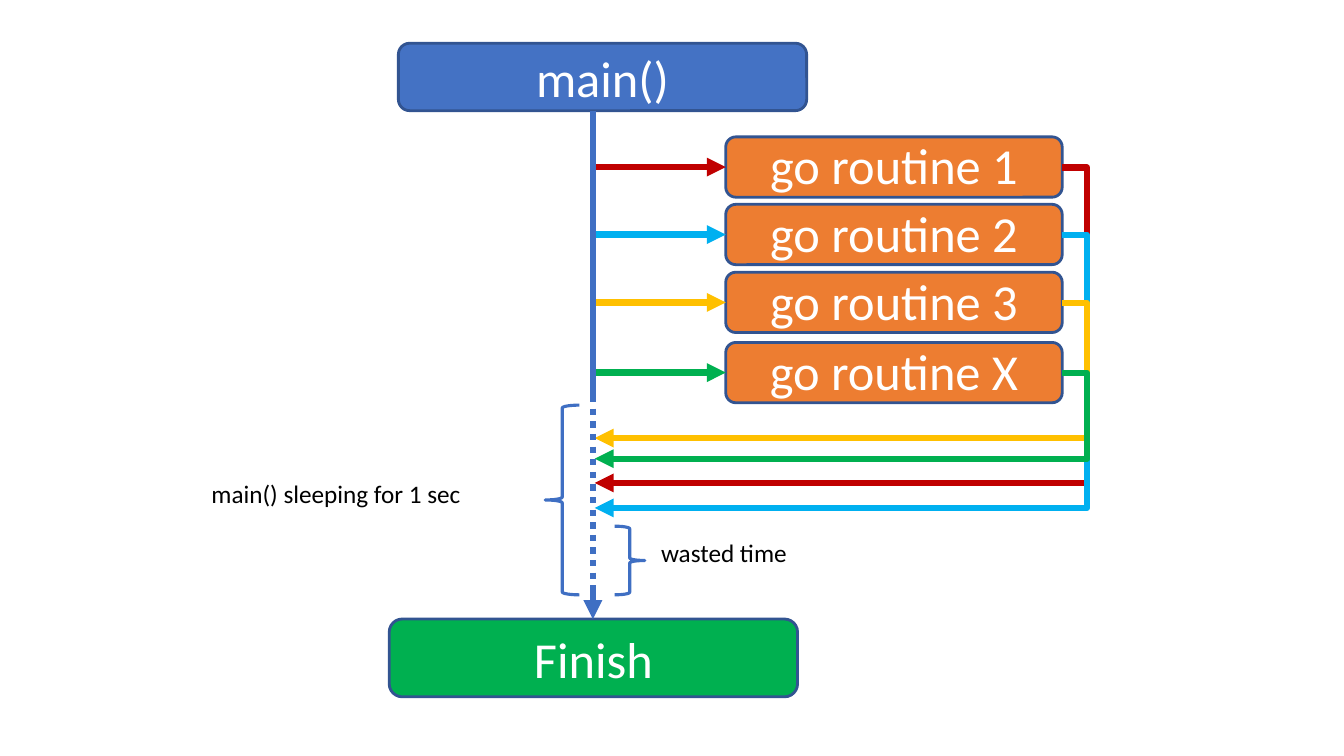
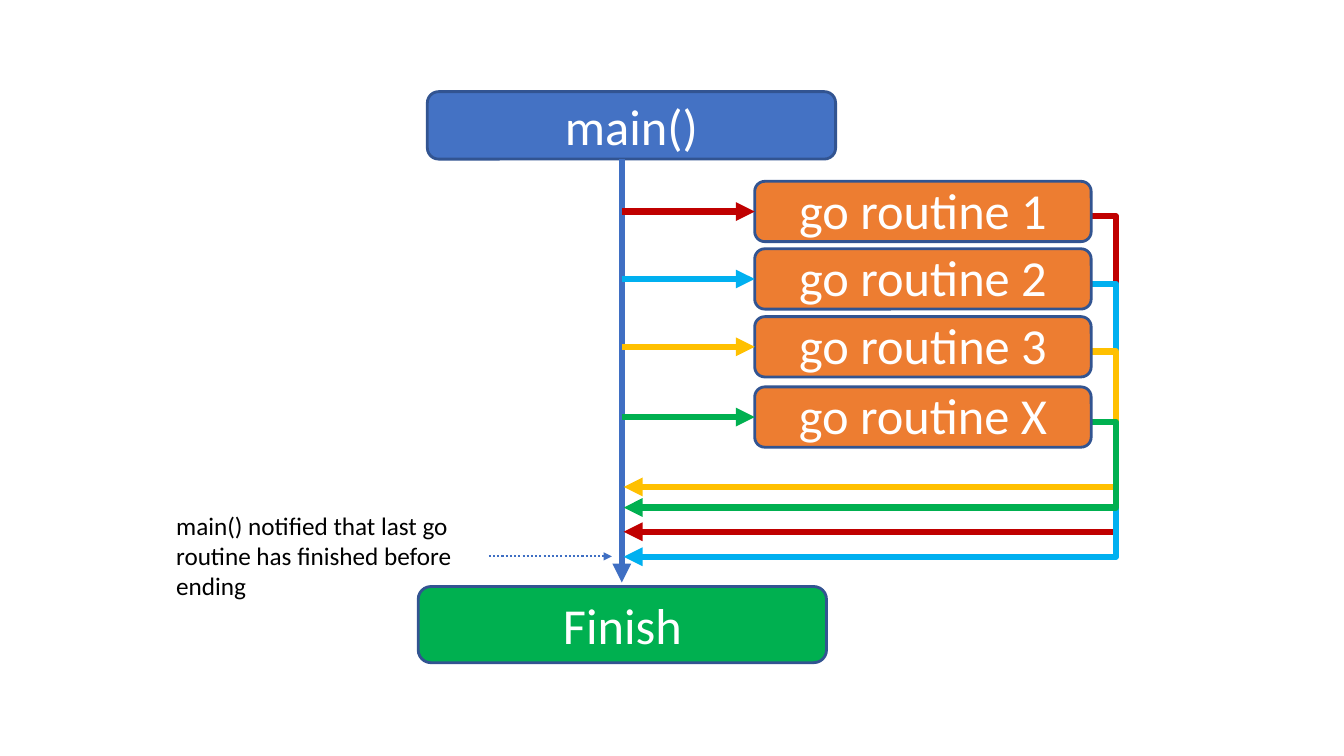
from dataclasses import dataclass

import lxml.etree
import pptx
import pptx.dml.color
import pptx.enum.dml
import pptx.enum.shapes
import pptx.enum.text
import pptx.oxml.ns
import pptx.util

Cm = pptx.util.Cm
Pt = pptx.util.Pt
qn = pptx.oxml.ns.qn
SHAPE = pptx.enum.shapes.MSO_SHAPE
LINK = pptx.enum.shapes.MSO_CONNECTOR
DOTTED = pptx.enum.dml.MSO_LINE.ROUND_DOT
ALIGN = pptx.enum.text.PP_ALIGN
ANCHOR = pptx.enum.text.MSO_ANCHOR

FONT = "Calibri"
COLORS = {
    "main": "4472C4",
    "routine": "ED7D31",
    "finish": "00B050",
    "edge": "325491",
    "flow": "3F6FC3",
    "red": "C00000",
    "blue": "00B0F0",
    "yellow": "FFC000",
    "green": "00B050",
    "white": "FFFFFF",
    "black": "000000",
}

BAR_W = 10.29
MAIN_H = 1.70
MAIN_DX, FINISH_DX = -4.90, -5.13
ROUTINE_DX, ROUTINE_W, ROUTINE_H = 3.35, 8.48, 1.52
RETURN_GAP, RETURN_BULGE = 0.05, 0.63


@dataclass(frozen=True)
class Routine:
    label: str
    color: str
    drop: float
    join: float


@dataclass(frozen=True)
class Flow:
    axis: float
    main_top: float
    routines_top: float
    returns_top: float
    finish_top: float
    finish_h: float


ROUTINES = (
    Routine("go routine 1", "red", 0, 7.95),
    Routine("go routine 2", "blue", 1.70, 8.58),
    Routine("go routine 3", "yellow", 3.41, 6.82),
    Routine("go routine X", "green", 5.18, 7.34),
)

SLEEPING = Flow(14.94, 1.09, 3.45, 4.22, 15.60, 1.96)
NOTIFIED = Flow(15.67, 2.31, 4.57, 5.45, 14.78, 1.92)


def rgb(name: str) -> pptx.dml.color.RGBColor:
    return pptx.dml.color.RGBColor.from_string(COLORS[name])


def add_box(s, x: float, y: float, w: float, h: float, text: str, fill: str, top_inset: float = 0.13) -> None:
    sp = s.shapes.add_shape(SHAPE.ROUNDED_RECTANGLE, Cm(x), Cm(y), Cm(w), Cm(h))
    sp.shadow.inherit = False
    sp.fill.solid()
    sp.fill.fore_color.rgb = rgb(fill)
    sp.line.color.rgb = rgb("edge")
    sp.line.width = Pt(2)
    tf = sp.text_frame
    tf.margin_top = Cm(top_inset)
    tf.vertical_anchor = ANCHOR.MIDDLE
    p = tf.paragraphs[0]
    p.text = text
    p.alignment = ALIGN.CENTER
    style_font(p, 36, "white")


def style_font(p, size: float, color: str) -> None:
    p.font.name = FONT
    p.font.size = Pt(size)
    p.font.color.rgb = rgb(color)


def add_note(s, x: float, y: float, w: float, h: float, text: str) -> None:
    tf = s.shapes.add_textbox(Cm(x), Cm(y), Cm(w), Cm(h)).text_frame
    tf.word_wrap = True
    p = tf.paragraphs[0]
    p.text = text
    style_font(p, 18, "black")


def add_brace(s, kind, x: float, y: float, w: float, h: float) -> None:
    sp = s.shapes.add_shape(kind, Cm(x), Cm(y), Cm(w), Cm(h))
    sp.shadow.inherit = False
    sp.fill.background()
    sp.line.color.rgb = rgb("flow")
    sp.line.width = Pt(2.25)


def add_link(s, x1: float, y1: float, x2: float, y2: float, color: str = "flow", width: float = 4.5,
             arrow: bool = True, dotted: bool = False, kind=LINK.STRAIGHT):
    cx = s.shapes.add_connector(kind, Cm(x1), Cm(y1), Cm(x2), Cm(y2))
    cx.line.color.rgb = rgb(color)
    cx.line.width = Pt(width)
    if dotted:
        cx.line.dash_style = DOTTED
    if arrow:
        lxml.etree.SubElement(cx.line._get_or_add_ln(), qn("a:tailEnd"), type="triangle")
    lxml.etree.SubElement(cx._element.spPr, qn("a:effectLst"))
    return cx


def add_ends(s, f: Flow) -> None:
    add_box(s, f.axis + MAIN_DX, f.main_top, BAR_W, MAIN_H, "main()", "main")
    add_box(s, f.axis + FINISH_DX, f.finish_top, BAR_W, f.finish_h, "Finish", "finish")


def add_routines(s, f: Flow) -> None:
    x = f.axis + ROUTINE_DX
    for routine in ROUTINES:
        y = f.routines_top + routine.drop
        middle = y + ROUTINE_H / 2
        add_box(s, x, y, ROUTINE_W, ROUTINE_H, routine.label, "routine", 0)
        add_link(s, f.axis, middle, x, middle, routine.color)


def add_returns(s, f: Flow) -> None:
    start = f.axis + ROUTINE_DX + ROUTINE_W
    end = f.axis + RETURN_GAP
    bend = -round(RETURN_BULGE / (start - end) * 100000)
    for routine in ROUTINES:
        cx = add_link(s, start, f.returns_top + routine.drop, end, f.returns_top + routine.join,
                      routine.color, kind=LINK.ELBOW)
        guides = cx._element.spPr.find(qn("a:prstGeom")).get_or_add_avLst()
        lxml.etree.SubElement(guides, qn("a:gd"), name="adj1", fmla=f"val {bend}")


def draw_sleeping(s) -> None:
    f = SLEEPING
    sleep_top, sleep_end = 9.98, 14.91
    add_ends(s, f)
    add_routines(s, f)
    add_returns(s, f)
    add_link(s, f.axis, f.main_top + MAIN_H, f.axis, sleep_top, arrow=False)
    add_link(s, f.axis, sleep_top, f.axis, sleep_end, arrow=False, dotted=True)
    add_link(s, f.axis, sleep_end, f.axis, f.finish_top)
    add_note(s, 5.08, 11.94, 8.64, 1.02, "main() sleeping for 1 sec")
    add_brace(s, SHAPE.LEFT_BRACE, 13.74, 10.21, 0.86, 4.78)
    add_brace(s, SHAPE.RIGHT_BRACE, 15.49, 13.26, 0.76, 1.73)
    add_note(s, 16.41, 13.41, 4.22, 1.78, "wasted time")


def draw_notified(s) -> None:
    f = NOTIFIED
    add_ends(s, f)
    add_link(s, f.axis, f.main_top + MAIN_H, f.axis, f.finish_top - 0.10)
    add_returns(s, f)
    add_note(s, 4.19, 12.73, 8.76, 2.54, "main() notified that last go routine has finished before ending")
    add_link(s, 12.32, 14.02, 15.42, 14.02, width=1.5, dotted=True)
    add_routines(s, f)


def main() -> None:
    prs = pptx.Presentation()
    prs.slide_width, prs.slide_height = Cm(33.87), Cm(19.05)
    for draw in (draw_sleeping, draw_notified):
        draw(prs.slides.add_slide(prs.slide_layouts[6]))
    prs.save("out.pptx")


if __name__ == "__main__":
    main()
